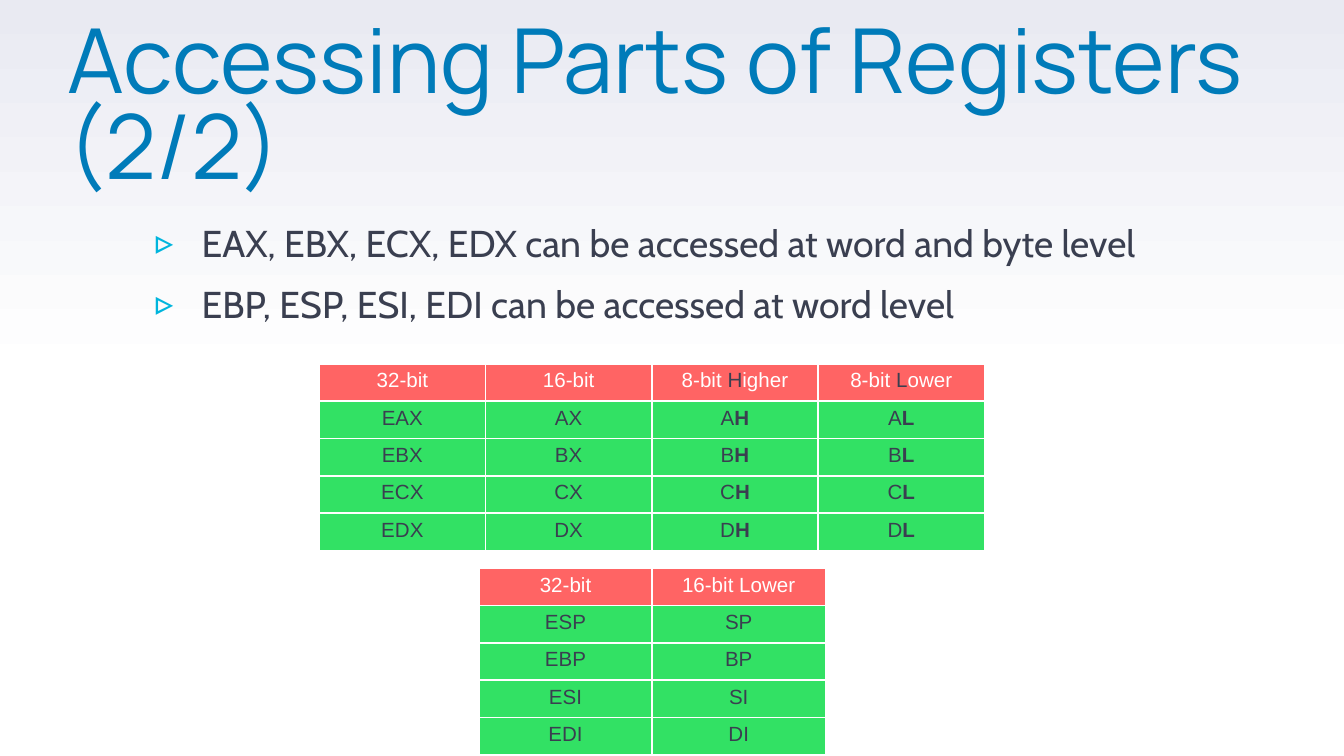
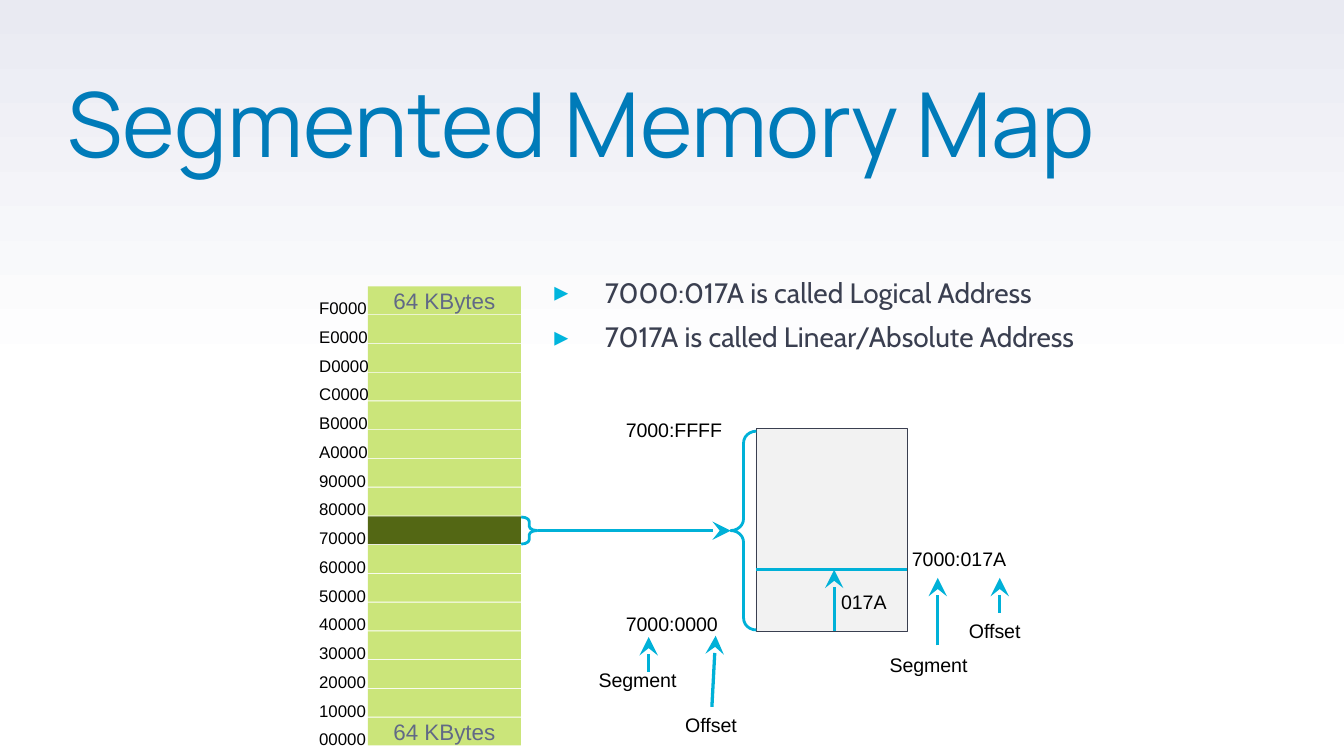
from typing import NamedTuple

from lxml import etree as et
from pptx import Presentation
from pptx.dml.color import RGBColor
from pptx.enum import shapes as sh, text as tx
from pptx.oxml import ns
from pptx.util import Pt

WHITE = RGBColor(0xFF, 0xFF, 0xFF)
BLACK = RGBColor(0, 0, 0)
MIST = RGBColor(0xE9, 0xEA, 0xF2)
BLUE = RGBColor(0x00, 0x7B, 0xB9)
CYAN = RGBColor(0x00, 0xB1, 0xD8)
BULLET = RGBColor(0x00, 0xB5, 0xDD)
INK = RGBColor(0x3A, 0x3F, 0x50)
SLATE = RGBColor(0x61, 0x69, 0x86)
RED = RGBColor(0xFF, 0x64, 0x64)
GREEN = RGBColor(0x32, 0xE1, 0x64)
LIME = RGBColor(0xCB, 0xE5, 0x7A)
OLIVE = RGBColor(0x53, 0x67, 0x14)
GREY = RGBColor(0xF2, 0xF2, 0xF2)

LEFT, CENTER = tx.PP_ALIGN.LEFT, tx.PP_ALIGN.CENTER
TOP, MIDDLE = tx.MSO_ANCHOR.TOP, tx.MSO_ANCHOR.MIDDLE


class Box(NamedTuple):
    x: float
    y: float
    w: float
    h: float


class Label(NamedTuple):
    text: str
    x: float
    y: float
    w: float


class Line(NamedTuple):
    x1: float
    y1: float
    x2: float
    y2: float
    wide: float = 1.75
    arrow: bool = True


class Brace(NamedTuple):
    kind: sh.MSO_SHAPE
    box: Box
    curl: float


class Grid(NamedTuple):
    x: float
    y: float
    col: float
    rows: list[list[str]]


def node(parent, tag: str, **attrs: str):
    return et.SubElement(parent, ns.qn(tag), attrs)


def paint(parent, color: RGBColor) -> None:
    node(parent, "a:srgbClr", val=str(color))


def write(frame, content: str, *, size: float, font: str = "Arial", color: RGBColor = BLACK,
          align=LEFT, lead: float | None = None, gap: float = 0, level: int = 0,
          bullet: str = "", indent: float = 0, accent: RGBColor | None = None,
          heavy: bool = False) -> None:
    for i, line in enumerate(content.split("\n")):
        para = frame.add_paragraph() if i else frame.paragraphs[0]
        para.alignment, para.level = align, level
        para.space_before = Pt(gap)
        if lead:
            para.line_spacing = lead
        if bullet:
            props = para._p.get_or_add_pPr()
            props.set("marL", str(Pt(indent)))
            props.set("indent", str(Pt(-27)))
            paint(node(props, "a:buClr"), BULLET)
            node(props, "a:buChar", char=bullet)
        for j, part in enumerate(line.split("|")):
            if not part:
                continue
            run = para.add_run()
            run.text = part
            face, odd = run.font, j % 2 == 1
            face.name, face.size = font, Pt(size)
            face.bold = heavy and odd
            face.color.rgb = accent if accent and odd else color


def fill_holder(holder, box: Box, content: str, **style) -> None:
    holder.left, holder.top, holder.width, holder.height = map(Pt, box)
    frame = holder.text_frame
    frame.margin_left = frame.margin_right = frame.margin_top = frame.margin_bottom = 0
    frame.vertical_anchor, frame.word_wrap = TOP, True
    frame.auto_size = tx.MSO_AUTO_SIZE.NONE
    write(frame, content, **style)


def add_slide(deck, title: str, top: float):
    slide = deck.slides.add_slide(deck.slide_layouts[1])
    fill_holder(slide.shapes.title, Box(36, top, 645, 85), title,
                size=48, font="Manrope", color=BLUE, lead=0.8)
    return slide


def add_list(slide, box: Box, content: str, **style) -> None:
    fill_holder(slide.placeholders[1], box, content, font="Cabin", color=INK, gap=6, **style)


def add_grid(slide, grid: Grid) -> None:
    high, count = 20, len(grid.rows[0])
    table = slide.shapes.add_table(len(grid.rows), count, Pt(grid.x), Pt(grid.y),
                                   Pt(grid.col * count), Pt(high * len(grid.rows))).table
    for col in table.columns:
        col.width = Pt(grid.col)
    for i, row in enumerate(grid.rows):
        table.rows[i].height = Pt(high)
        head = i == 0
        for j, content in enumerate(row):
            cell = table.cell(i, j)
            cell.margin_left = cell.margin_right = Pt(5)
            cell.margin_top = cell.margin_bottom = Pt(2.9)
            for side in "LRTB":
                edge = node(cell._tc.get_or_add_tcPr(), f"a:ln{side}", w=str(Pt(1)))
                paint(node(edge, "a:solidFill"), WHITE)
            cell.fill.solid()
            cell.fill.fore_color.rgb = RED if head else GREEN
            write(cell.text_frame, content, size=11, color=WHITE if head else INK,
                  align=CENTER, accent=INK, heavy=not head)


def add_rect(slide, box: Box, fill: RGBColor, edge: RGBColor | None = None):
    rect = slide.shapes.add_shape(sh.MSO_SHAPE.RECTANGLE, *map(Pt, box))
    rect.shadow.inherit = False
    rect.fill.solid()
    rect.fill.fore_color.rgb = fill
    if edge:
        rect.line.color.rgb, rect.line.width = edge, Pt(0.25)
    else:
        rect.line.fill.background()
    return rect


def add_brace(slide, brace: Brace) -> None:
    shape = slide.shapes.add_shape(brace.kind, *map(Pt, brace.box))
    shape.shadow.inherit = False
    shape.fill.background()
    shape.line.color.rgb, shape.line.width = CYAN, Pt(1.5)
    shape.adjustments[0] = brace.curl


def add_line(slide, line: Line) -> None:
    link = slide.shapes.add_connector(sh.MSO_CONNECTOR.STRAIGHT, *map(Pt, line[:4]))
    link.line.color.rgb, link.line.width = CYAN, Pt(line.wide)
    if line.arrow:
        node(link.line._get_or_add_ln(), "a:tailEnd", type="stealth", w="lg", len="lg")
    node(link._element.spPr, "a:effectLst")


def add_label(slide, label: Label, size: float = 10.5) -> None:
    high = 18 if size < 10 else 20
    frame = slide.shapes.add_textbox(*map(Pt, (label.x, label.y, label.w, high))).text_frame
    frame.word_wrap = False
    frame.auto_size = tx.MSO_AUTO_SIZE.SHAPE_TO_FIT_TEXT
    write(frame, label.text, size=size)


def set_back(deck) -> None:
    master = deck.slide_master
    fill = master.background.fill
    fill.gradient()
    fill.gradient_angle = 90
    stops = master.element.find(".//" + ns.qn("a:gsLst"))
    for old in list(stops):
        stops.remove(old)
    for pos, color in ((0, WHITE), (50, WHITE), (100, MIST)):
        paint(node(stops, "a:gs", pos=str(pos * 1000)), color)


def show_parts(deck) -> None:
    slide = add_slide(deck, "Accessing Parts of Registers (2/2)", 13)
    add_list(slide, Box(36, 115.7, 645, 211),
             "EAX, EBX, ECX, EDX can be accessed at word and byte level\n"
             "EBP, ESP, ESI, EDI can be accessed at word level",
             size=20, lead=1.1, level=1, bullet="▹", indent=72)
    wide = [["32-bit", "16-bit", "8-bit |H|igher", "8-bit |L|ower"]]
    wide += [[f"E{n}X", f"{n}X", f"{n}|H|", f"{n}|L|"] for n in "ABCD"]
    slim = [["32-bit", "16-bit Lower"]]
    slim += [["E" + n, n] for n in ("SP", "BP", "SI", "DI")]
    add_grid(slide, Grid(171, 195, 89.1, wide))
    add_grid(slide, Grid(256.6, 304.4, 92.8, slim))


def show_map(deck) -> None:
    slide = add_slide(deck, "Segmented Memory Map", 47.5)
    add_list(slide, Box(288, 147.4, 306, 50),
             "7000:017A is called Logical Address\n"
             "7017A is called Linear/Absolute Address",
             size=15, bullet="▸", indent=36)

    for i in range(16):
        seg, y = 15 - i, 153.4 + 15.4 * i
        band = add_rect(slide, Box(197.1, y, 82, 15), OLIVE if seg == 7 else LIME)
        if seg in (0, 15):
            band.text_frame.vertical_anchor = MIDDLE
            write(band.text_frame, "64 KBytes", size=12, color=SLATE, align=CENTER)
        add_label(slide, Label(f"{seg:X}0000", 163.9, y + 2.6, 41.5 if seg > 9 else 40), 9)

    add_rect(slide, Box(405, 229.7, 81, 108.5), GREY, INK)
    for brace in (
        Brace(sh.MSO_SHAPE.RIGHT_BRACE, Box(279.2, 277, 8.6, 14.5), 0.27),
        Brace(sh.MSO_SHAPE.LEFT_BRACE, Box(391.5, 231, 13.7, 106.5), 0.46),
    ):
        add_brace(slide, brace)
    for line in (
        Line(288, 284.3, 391.5, 284.3),
        Line(347.5, 360, 347.5, 341.3),
        Line(381.4, 378.7, 383.4, 340.6),
        Line(405, 305.2, 486, 305.2, arrow=False),
        Line(446.9, 338.2, 446.9, 305.2, 1.5),
        Line(535.6, 328.3, 535.6, 309.6),
        Line(502.4, 345.8, 502.4, 309.6),
    ):
        add_line(slide, line)
    for label in (
        Label("7000:FFFF", 328.2, 220.5, 67),
        Label("7000:0000", 328.2, 324.2, 65),
        Label("7000:017A", 481.5, 289.5, 66.4),
        Label("017A", 443.5, 312.5, 40),
        Label("Segment", 313.6, 354.2, 57),
        Label("Segment", 469.5, 346.3, 57),
        Label("Offset", 360, 378.5, 42.5),
        Label("Offset", 512, 328.3, 42.5),
    ):
        add_label(slide, label)


def main() -> None:
    deck = Presentation()
    deck.slide_width, deck.slide_height = Pt(720), Pt(405)
    set_back(deck)
    show_parts(deck)
    show_map(deck)
    deck.save("out.pptx")


if __name__ == "__main__":
    main()
